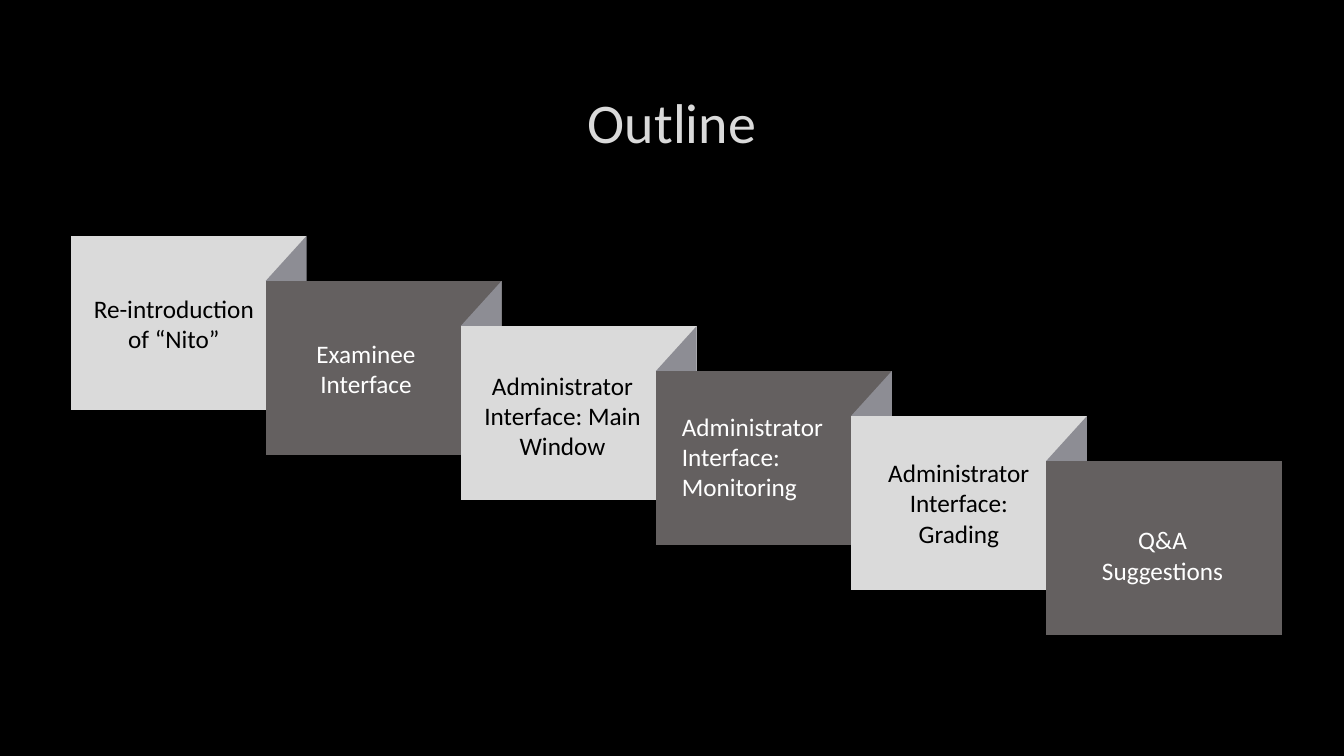
from dataclasses import dataclass

from pptx import Presentation
from pptx.dml.color import RGBColor as RGB
from pptx.enum.shapes import MSO_SHAPE as Shape
from pptx.enum.text import MSO_ANCHOR as Anchor, MSO_AUTO_SIZE as AutoSize, PP_ALIGN as Align
from pptx.util import Inches, Pt


@dataclass(frozen=True)
class Theme:
    font: str = "Calibri"
    title_size: int = 40
    caption_size: int = 18
    background: str = "000000"
    title: str = "DADADA"
    fold: str = "8D8D94"
    # Card fill and caption colour, taken in turn
    cards: tuple = (("DADADA", "000000"), ("646060", "FFFFFF"))


THEME = Theme()
SLIDE_W, SLIDE_H = 13.33, 7.5

# Staircase grid: each card moves one column right and one row down
STAIR_LEFT, STAIR_TOP = 0.7, 2.34
COLUMN, ROW = 1.935, 0.447
CARD_W, CARD_H = 2.34, 1.73
FOLD_W = CARD_W - COLUMN

# Caption paragraphs, alignment, offset from the card's corner, width, height
TOPICS = [
    (["Re-introduction of “Nito”"], Align.CENTER, 0.06, 0.52, 1.93, 0.71),
    (["Examinee Interface"], Align.CENTER, 0.06, 0.52, 1.87, 0.71),
    (["Administrator Interface: Main Window"], Align.CENTER, 0.09, 0.39, 1.84, 1.01),
    (["Administrator Interface: Monitoring"], Align.LEFT, 0.16, 0.35, 1.86, 1.01),
    (["Administrator Interface: Grading"], Align.CENTER, 0.19, 0.36, 1.76, 1.01),
    (["Q&A", "Suggestions"], Align.CENTER, 0.13, 0.58, 2.05, 0.71),
]


def column(index):
    return STAIR_LEFT + index * COLUMN


def row(index):
    return STAIR_TOP + index * ROW


def add_solid(shapes, preset, left, top, width, height, color):
    solid = shapes.add_shape(preset, *map(Inches, (left, top, width, height)))
    solid.shadow.inherit = False
    solid.fill.solid()
    solid.fill.fore_color.rgb = RGB.from_string(color)
    solid.line.fill.background()
    return solid


def add_text(shapes, lines, left, top, width, height, size, color, align=Align.CENTER):
    box = shapes.add_textbox(*map(Inches, (left, top, width, height)))
    frame = box.text_frame
    frame.word_wrap = True
    frame.text = "\n".join(lines)
    for paragraph in frame.paragraphs:
        paragraph.alignment = align
        paragraph.font.name = THEME.font
        paragraph.font.size = Pt(size)
        paragraph.font.color.rgb = RGB.from_string(color)
    return frame


def add_fold(shapes, index):
    # The turned triangle fills the gap between a card and the one above it
    center_x = column(index) + FOLD_W / 2
    center_y = row(index) - ROW / 2
    fold = add_solid(shapes, Shape.RIGHT_TRIANGLE, center_x - ROW / 2,
                     center_y - FOLD_W / 2, ROW, FOLD_W, THEME.fold)
    fold.rotation = 270


def add_step(slide, index, topic):
    lines, align, dx, dy, width, height = topic
    card_color, text_color = THEME.cards[index % len(THEME.cards)]
    step = slide.shapes.add_group_shape().shapes
    if index:
        add_fold(step, index)
    add_solid(step, Shape.FLOWCHART_PROCESS, column(index), row(index),
              CARD_W, CARD_H, card_color)
    caption = add_text(step, lines, column(index) + dx, row(index) + dy, width, height,
                       THEME.caption_size, text_color, align)
    caption.auto_size = AutoSize.SHAPE_TO_FIT_TEXT


def main():
    deck = Presentation()
    deck.slide_width, deck.slide_height = Inches(SLIDE_W), Inches(SLIDE_H)
    slide = deck.slides.add_slide(deck.slide_layouts[6])
    slide.background.fill.solid()
    slide.background.fill.fore_color.rgb = RGB.from_string(THEME.background)

    # Heading
    heading = add_text(slide.shapes, ["Outline"], SLIDE_W * 0.075, SLIDE_H * 0.09,
                       SLIDE_W * 0.85, SLIDE_H * 0.14, THEME.title_size, THEME.title)
    heading.vertical_anchor = Anchor.MIDDLE

    # Staircase of topics
    for index, topic in enumerate(TOPICS):
        add_step(slide, index, topic)

    deck.save("out.pptx")


if __name__ == "__main__":
    main()
